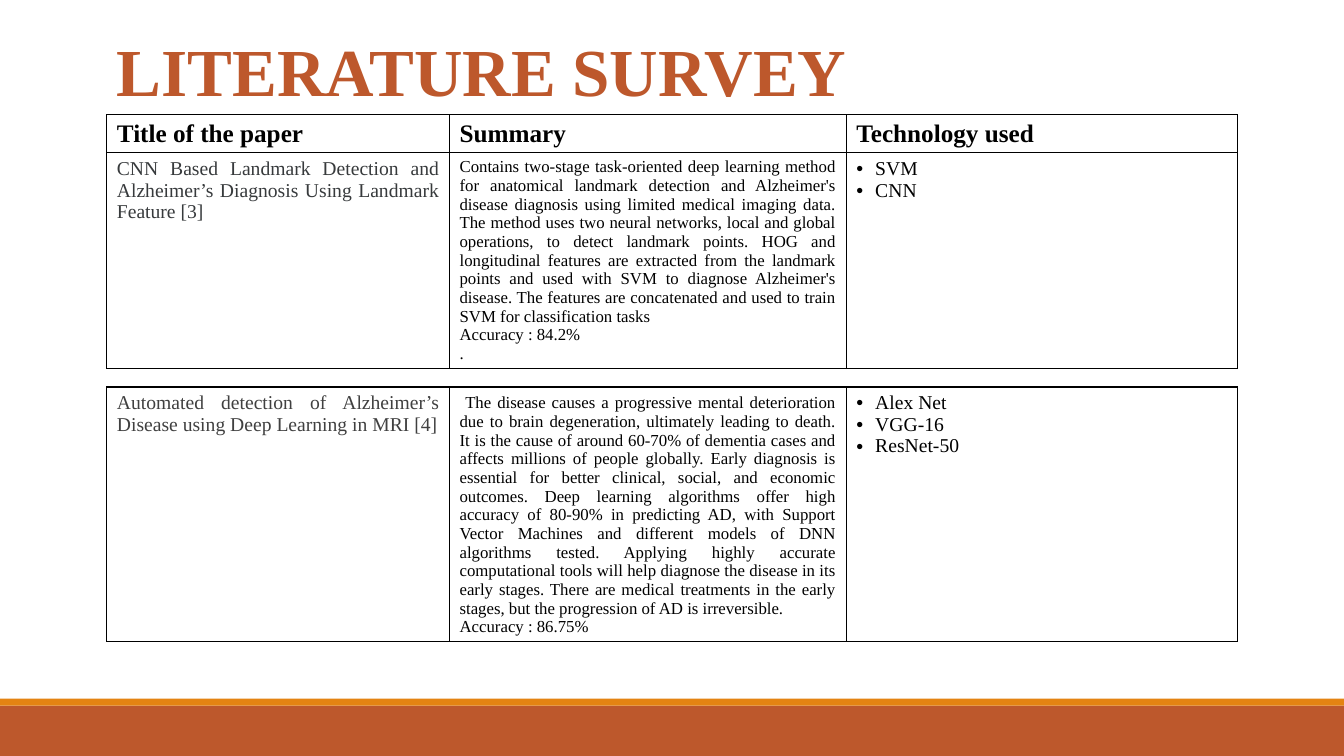
import pptx
import pptx.dml.color
import pptx.enum.shapes
import pptx.enum.text
import pptx.oxml
import pptx.oxml.ns
import pptx.util

Pt = pptx.util.Pt
ALIGN = pptx.enum.text.PP_ALIGN
SERIF = "Times New Roman"
COLUMN_WIDTHS = (244.8, 283.4, 279.2)
BORDER = (
    '<a:{side} {ns} w="12700"><a:solidFill><a:srgbClr val="000000"/></a:solidFill></a:{side}>'
)

HEADINGS = ("Title of the paper", "Summary", "Technology used")
LANDMARK_TITLE = (
    "CNN Based Landmark Detection and Alzheimer’s Diagnosis Using Landmark Feature [3]"
)
LANDMARK_SUMMARY = (
    "Contains two-stage task-oriented deep learning method for anatomical landmark "
    "detection and Alzheimer's disease diagnosis using limited medical imaging data. "
    "The method uses two neural networks, local and global operations, to detect "
    "landmark points. HOG and longitudinal features are extracted from the landmark "
    "points and used with SVM to diagnose Alzheimer's disease. The features are "
    "concatenated and used to train SVM for classification tasks",
    "Accuracy : 84.2%",
    ".",
)
MRI_TITLE = "Automated detection of Alzheimer’s Disease using Deep Learning in MRI [4]"
MRI_SUMMARY = (
    "The disease causes a progressive mental deterioration due to brain degeneration, "
    "ultimately leading to death. It is the cause of around 60-70% of dementia cases "
    "and affects millions of people globally. Early diagnosis is essential for better "
    "clinical, social, and economic outcomes. Deep learning algorithms offer high "
    "accuracy of 80-90% in predicting AD, with Support Vector Machines and different "
    "models of DNN algorithms tested. Applying highly accurate computational tools "
    "will help diagnose the disease in its early stages. There are medical treatments "
    "in the early stages, but the progression of AD is irreversible.",
    "Accuracy : 86.75%",
)


def color(hex_value):
    return pptx.dml.color.RGBColor.from_string(hex_value)


def write(frame, *lines, size, ink="000000", bold=False, align=ALIGN.JUSTIFY,
          bulleted=False, lead=""):
    """Fill a text frame, one paragraph a line; lead is a Calibri run put first."""
    for index, line in enumerate(lines):
        paragraph = frame.paragraphs[0] if index == 0 else frame.add_paragraph()
        paragraph.alignment = align
        pieces = [(line, SERIF)]
        if lead and index == 0:
            pieces.insert(0, (lead, "Calibri"))
        for words, face in pieces:
            run = paragraph.add_run()
            run.text = words
            run.font.name = face
            run.font.size = Pt(size)
            run.font.bold = bold
            run.font.color.rgb = color(ink)
        if bulleted:
            properties = paragraph._p.get_or_add_pPr()
            properties.set("marL", str(Pt(13.5)))
            properties.set("indent", str(-Pt(13.5)))
            namespace = pptx.oxml.ns.nsdecls("a")
            for mark in ('buFont {} typeface="Arial"', 'buChar {} char="•"'):
                properties.append(pptx.oxml.parse_xml(f"<a:{mark.format(namespace)}/>"))


def add_survey_table(slide, left, top, row_heights):
    """Add an empty bordered table and return it."""
    table = slide.shapes.add_table(
        len(row_heights), len(COLUMN_WIDTHS), Pt(left), Pt(top),
        Pt(sum(COLUMN_WIDTHS)), Pt(sum(row_heights))).table
    table.first_row = table.horz_banding = False
    for column, width in zip(table.columns, COLUMN_WIDTHS):
        column.width = Pt(width)
    for row, height in zip(table.rows, row_heights):
        row.height = Pt(height)
    for cell in table.iter_cells():
        cell.fill.background()
        properties = cell._tc.get_or_add_tcPr()
        for position, side in enumerate(("lnL", "lnR", "lnT", "lnB")):
            border = BORDER.format(side=side, ns=pptx.oxml.ns.nsdecls("a"))
            properties.insert(position, pptx.oxml.parse_xml(border))
    return table


def fill_paper_row(table, row, title, title_ink, summary, technologies, lead=""):
    frames = [table.cell(row, column).text_frame for column in range(3)]
    write(frames[0], title, size=14, ink=title_ink)
    write(frames[1], *summary, size=12, lead=lead)
    write(frames[2], *technologies, size=14, bulleted=True)


def add_footer_bands(slide, width, bottom):
    for top, height, fill in ((bottom - 36, 36, "BD582C"), (bottom - 41, 5, "E48312")):
        band = slide.shapes.add_shape(
            pptx.enum.shapes.MSO_SHAPE.RECTANGLE, 0, Pt(top), Pt(width), Pt(height))
        band.shadow.inherit = False
        band.fill.solid()
        band.fill.fore_color.rgb = color(fill)
        band.line.fill.background()


def place_title(slide, left, top, width, height):
    title = slide.shapes.title
    title.left, title.top, title.width, title.height = map(Pt, (left, top, width, height))
    frame = title.text_frame
    frame.word_wrap = True
    frame.auto_size = pptx.enum.text.MSO_AUTO_SIZE.NONE
    frame.vertical_anchor = pptx.enum.text.MSO_ANCHOR.BOTTOM
    write(frame, "LITERATURE SURVEY", size=48, ink="BD582C", bold=True, align=ALIGN.LEFT)


def build_survey_slide(presentation, width, height):
    slide = presentation.slides.add_slide(presentation.slide_layouts[5])
    left = 76.3
    add_footer_bands(slide, width, height)

    landmark_table = add_survey_table(slide, left, 82, (27.2, 153.8))
    for column, heading in enumerate(HEADINGS):
        write(landmark_table.cell(0, column).text_frame, heading, size=18, bold=True)
    fill_paper_row(landmark_table, 1, LANDMARK_TITLE, "373A3C", LANDMARK_SUMMARY,
                   ("SVM", "CNN"))

    mri_table = add_survey_table(slide, left, 276.5, (181.5,))
    fill_paper_row(mri_table, 0, MRI_TITLE, "404040", MRI_SUMMARY,
                   ("Alex Net", "VGG-16", "ResNet-50"), lead=" ")

    place_title(slide, left, 16.5, 601, 65.5)


def main():
    width, height = 960, 540
    presentation = pptx.Presentation()
    presentation.slide_width, presentation.slide_height = Pt(width), Pt(height)
    build_survey_slide(presentation, width, height)
    presentation.save("out.pptx")


if __name__ == "__main__":
    main()
